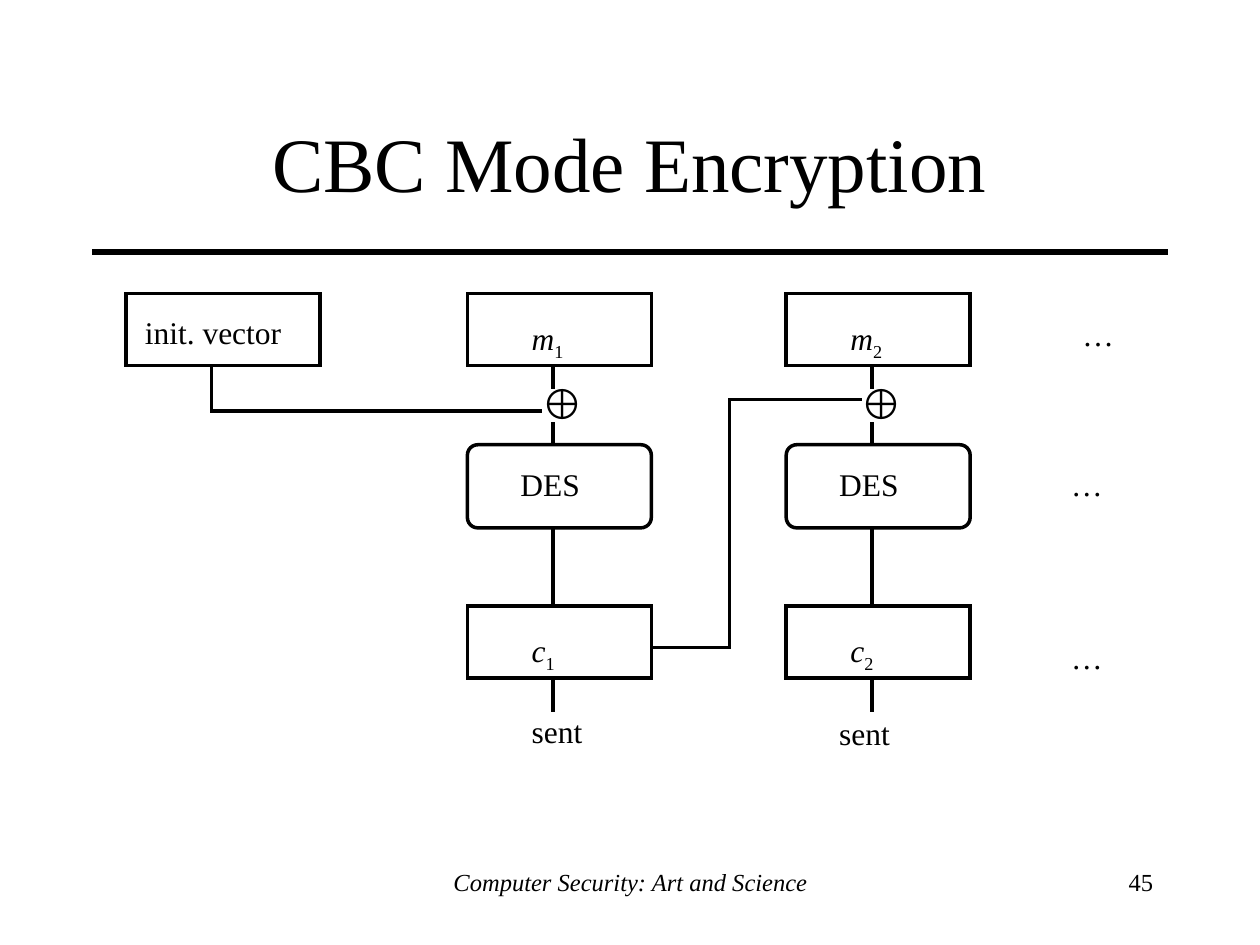
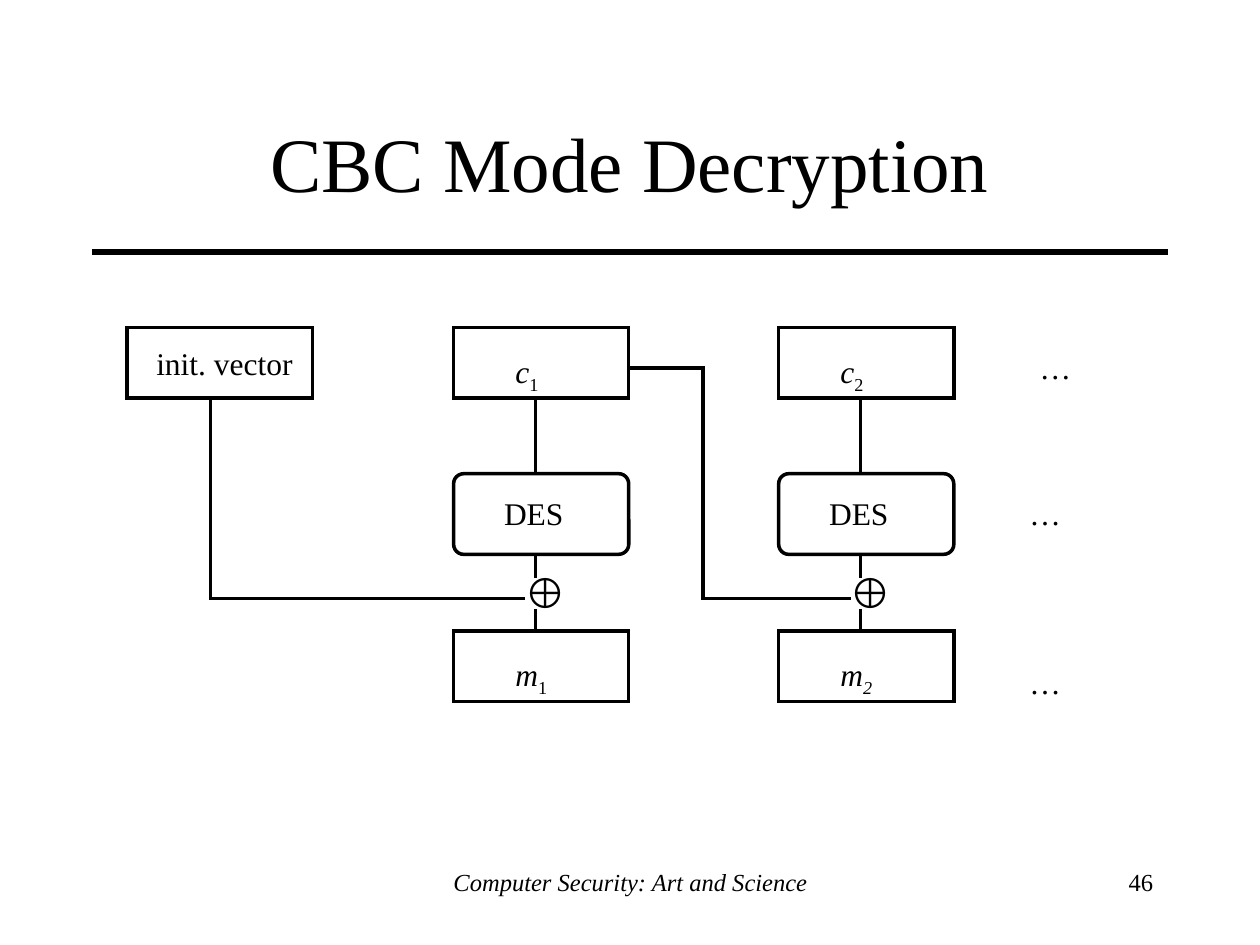
"""Build two slides on the CBC mode of a block cipher."""
from dataclasses import dataclass
from itertools import pairwise

from lxml.etree import SubElement
from pptx import Presentation
from pptx.dml.color import RGBColor
from pptx.enum.shapes import MSO_CONNECTOR, MSO_SHAPE
from pptx.enum.text import MSO_ANCHOR, PP_ALIGN
from pptx.oxml.ns import qn
from pptx.util import Pt

SCALE = 9144


@dataclass(frozen=True)
class Theme:
    """Hold the colours, fonts and sizes."""
    ink: RGBColor = RGBColor(0, 0, 0)
    serif: str = "Times New Roman"
    sans: str = "Arial"
    head: int = 44
    sign: int = 24
    body: int = 18
    foot: int = 14
    thick: int = 3
    thin: int = 2
    tight: float = 0.85


@dataclass(frozen=True)
class Plan:
    """Hold the measures of one diagram."""
    title: str
    page: int
    lanes: tuple
    wide: int
    tall: int
    cell: int
    tops: tuple
    names: str
    slants: tuple
    nudge: int
    mark: int
    block: int
    wire: int
    drops: tuple
    xor: tuple
    start: tuple
    hint: tuple
    routes: tuple
    dots: tuple
    sent: tuple = ()


THEME = Theme()

PLANS = (
    Plan(title="CBC Mode Encryption", page=45, lanes=(371, 624),
         wide=146, tall=57, cell=66, tops=(233, 353, 481),
         names="mc", slants=(False, False), nudge=19, mark=44, block=35, wire=68,
         drops=((293, 307), (336, 350), (421, 478), (541, 564)),
         xor=(52, 303), start=(100, 154), hint=(108, 250),
         routes=(((168, 293), (168, 326), (429, 326)),
                 ((520, 514), (579, 514), (579, 317), (683, 317))),
         dots=((852, 252), (843, 371), (843, 508)),
         sent=((415, 567), (659, 568))),
    Plan(title="CBC Mode Decryption", page=46, lanes=(360, 618),
         wide=139, tall=56, cell=64, tops=(260, 376, 501),
         names="cm", slants=(False, True), nudge=18, mark=42, block=33, wire=65,
         drops=((318, 374), (443, 457), (485, 499)),
         xor=(49, 453), start=(101, 147), hint=(117, 275),
         routes=(((167, 318), (167, 475), (415, 475)),
                 ((501, 292), (558, 292), (558, 475), (674, 475))),
         dots=((818, 278), (810, 394), (810, 528))),
)


def px(*sizes):
    """Turn px into EMU."""
    return [size * SCALE for size in sizes]


def style(run, size, slant=False, font=THEME.serif):
    """Set the font of a run."""
    run.font.name = font
    run.font.size = Pt(size)
    run.font.italic = slant
    run.font.color.rgb = THEME.ink


def stroke(shape, weight):
    """Give a shape a square, mitred line."""
    shape.line.color.rgb = THEME.ink
    shape.line.width = Pt(weight)
    line = shape._element.spPr.find(qn("a:ln"))
    line.set("cap", "sq")
    SubElement(line, qn("a:miter"), lim="800000")


def write(slide, box, text, size, align, slant=False):
    """Add a line of text in the middle or at the top of a box."""
    frame = slide.shapes.add_textbox(*px(*box)).text_frame
    frame.text = text
    frame.word_wrap = True
    if size == THEME.head:
        frame.vertical_anchor = MSO_ANCHOR.MIDDLE
    line = frame.paragraphs[0]
    line.alignment = align
    style(line.runs[0], size, slant)


def label(slide, box, text, size=THEME.body, font=THEME.serif, slant=False):
    """Add a tight one-line label and return its paragraph."""
    frame = slide.shapes.add_textbox(*px(*box)).text_frame
    frame.text = text
    frame.word_wrap = True
    frame.margin_left, frame.margin_right = px(7, 0)
    frame.margin_top, frame.margin_bottom = px(3, 3)
    line = frame.paragraphs[0]
    line.line_spacing = THEME.tight
    style(line.runs[0], size, slant, font)
    return line


def symbol(slide, left, top, name, index, slant):
    """Add a slanted letter with a lowered index."""
    line = label(slide, (left, top, 50, 35), name, slant=True)
    run = line.add_run()
    run.text = str(index)
    style(run, THEME.body, slant)
    run.font._element.set("baseline", "-25000")


def card(slide, box, kind=MSO_SHAPE.RECTANGLE):
    """Add an outlined block with no fill."""
    shape = slide.shapes.add_shape(kind, *px(*box))
    shape.shadow.inherit = False
    shape.fill.background()
    stroke(shape, THEME.thin)
    if kind == MSO_SHAPE.ROUNDED_RECTANGLE:
        shape.adjustments[0] = 0.125


def route(slide, points, weight=THEME.thin):
    """Join points with straight lines."""
    for start, end in pairwise(points):
        line = slide.shapes.add_connector(
            MSO_CONNECTOR.STRAIGHT, *px(*start, *end))
        stroke(line, weight)
        SubElement(line._element.spPr, qn("a:effectLst"))


def frame(slide, title, page):
    """Add the title, rule and footer."""
    route(slide, ((75, 200), (925, 200)), THEME.thick)
    write(slide, (75, 66, 850, 125), title, THEME.head, PP_ALIGN.CENTER)
    write(slide, (342, 683, 317, 50), "Computer Security: Art and Science",
          THEME.foot, PP_ALIGN.CENTER, True)
    write(slide, (717, 683, 208, 50), str(page), THEME.foot, PP_ALIGN.RIGHT)


def lane(slide, plan, left, index):
    """Draw one block from its input to its output."""
    first, middle, last = plan.tops
    slants = (False, plan.slants[index - 1])
    for top, name, slant in zip((first, last), plan.names, slants):
        card(slide, (left, top, plan.wide, plan.tall))
        symbol(slide, left + plan.mark, top + plan.nudge, name, index, slant)
    card(slide, (left, middle, plan.wide, plan.cell), MSO_SHAPE.ROUNDED_RECTANGLE)
    label(slide, (left + plan.block, middle + 18, 75, 31), "DES")
    for start, end in plan.drops:
        route(slide, ((left + plan.wire, start), (left + plan.wire, end)))
    shift, top = plan.xor
    label(slide, (left + shift, top, 45, 40), "⊕", THEME.sign, THEME.sans)


def draw(slide, plan):
    """Draw the whole diagram."""
    left, width = plan.start
    card(slide, (left, plan.tops[0], width, plan.tall))
    label(slide, (*plan.hint, 135, 31), "init. vector")
    for index, edge in enumerate(plan.lanes, 1):
        lane(slide, plan, edge, index)
    for points in plan.routes:
        route(slide, points)
    for spot in plan.dots:
        label(slide, (*spot, 45, 31), "…")
    for spot in plan.sent:
        label(slide, (*spot, 65, 31), "sent")


def main():
    """Build and save the deck."""
    deck = Presentation()
    deck.slide_width, deck.slide_height = px(1000, 750)
    for plan in PLANS:
        slide = deck.slides.add_slide(deck.slide_layouts[6])
        frame(slide, plan.title, plan.page)
        draw(slide, plan)
    deck.save("out.pptx")


if __name__ == "__main__":
    main()
